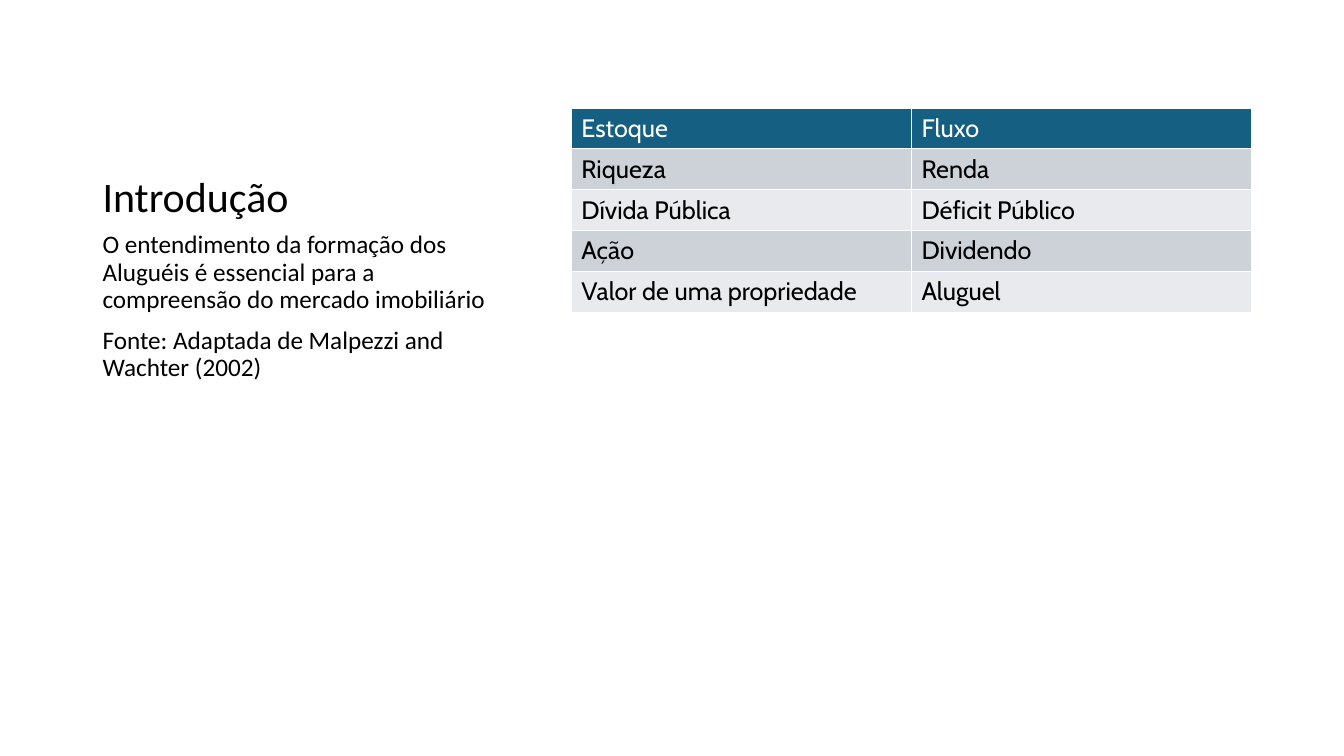
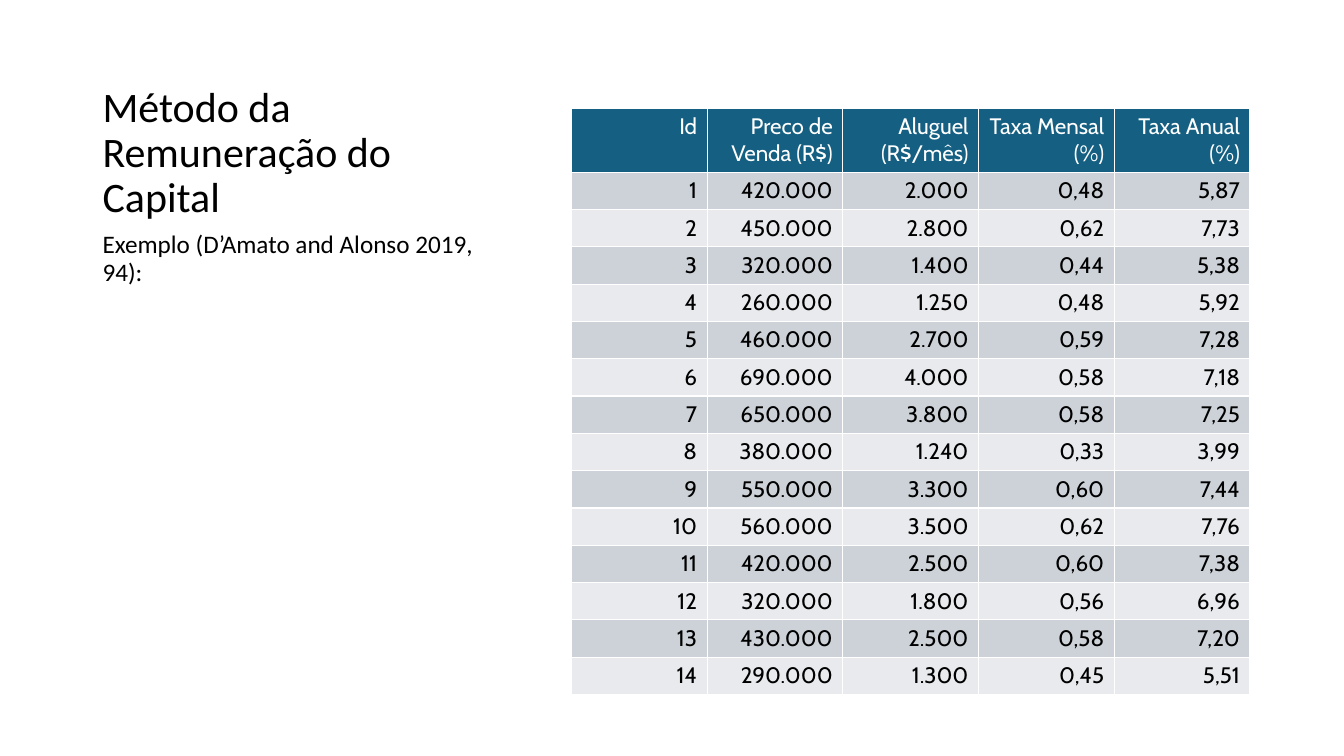
from dataclasses import dataclass

from lxml.etree import Element, SubElement
from pptx import Presentation
from pptx.dml.color import RGBColor as Rgb
from pptx.enum.text import MSO_ANCHOR as Anchor
from pptx.enum.text import MSO_AUTO_SIZE as Fit
from pptx.enum.text import PP_ALIGN as Align
from pptx.oxml.ns import qn
from pptx.util import Cm, Pt


@dataclass(frozen=True)
class Theme:
    white: str = "FFFFFF"
    black: str = "000000"
    head: str = "156082"
    bands: tuple[str, str] = ("CCD2D8", "E8EAED")
    prose: str = "Calibri"
    grid: str = "Cabin"
    title: int = 30
    body: int = 18
    rule: int = 1


@dataclass(frozen=True)
class Box:
    left: float
    top: float
    width: float
    height: float


@dataclass(frozen=True)
class Grid:
    rows: list[list[str]]
    size: int
    align: Align
    col: float
    head: float
    row: float


@dataclass(frozen=True)
class Page:
    title: str
    notes: list[str]
    grid: Grid


THEME = Theme()
TITLE = Box(2.33, 2.74, 10.92, 2.98)
BODY = Box(2.33, 5.72, 10.92, 10.58)
LEFT, TOP = 14.4, 2.72
CAPTION = 7

STOCKS = [
    ["Estoque", "Fluxo"],
    ["Riqueza", "Renda"],
    ["Dívida Pública", "Déficit Público"],
    ["Ação", "Dividendo"],
    ["Valor de uma propriedade", "Aluguel"],
]

HEADS = ["Id", "Preco de Venda (R$)", "Aluguel (R$/mês)", "Taxa Mensal (%)", "Taxa Anual (%)"]
RENTS = [
    ["420.000", "2.000", "0,48", "5,87"],
    ["450.000", "2.800", "0,62", "7,73"],
    ["320.000", "1.400", "0,44", "5,38"],
    ["260.000", "1.250", "0,48", "5,92"],
    ["460.000", "2.700", "0,59", "7,28"],
    ["690.000", "4.000", "0,58", "7,18"],
    ["650.000", "3.800", "0,58", "7,25"],
    ["380.000", "1.240", "0,33", "3,99"],
    ["550.000", "3.300", "0,60", "7,44"],
    ["560.000", "3.500", "0,62", "7,76"],
    ["420.000", "2.500", "0,60", "7,38"],
    ["320.000", "1.800", "0,56", "6,96"],
    ["430.000", "2.500", "0,58", "7,20"],
    ["290.000", "1.300", "0,45", "5,51"],
]

PAGES = [
    Page(
        "Introdução",
        [
            "O entendimento da formação dos Aluguéis é essencial para a "
            "compreensão do mercado imobiliário",
            "Fonte: Adaptada de Malpezzi and Wachter (2002)",
        ],
        Grid(STOCKS, 18, Align.LEFT, 8.57, 1.03, 1.03),
    ),
    Page(
        "Método da Remuneração do Capital",
        ["Exemplo (D’Amato and Alonso 2019, 94):"],
        Grid(
            [HEADS] + [[str(num), *rent] for num, rent in enumerate(RENTS, 1)],
            16, Align.RIGHT, 3.42, 1.62, 0.94,
        ),
    ),
]


def add_run(para, text: str, face: str, size: int, color: str) -> None:
    run = para.add_run()
    run.text = text
    run.font.name = face
    run.font.size = Pt(size)
    run.font.bold = False
    run.font.color.rgb = Rgb.from_string(color)


def fill_holder(holder, box: Box, lines: list[str], size: int, anchor: Anchor) -> None:
    holder.left, holder.top = Cm(box.left), Cm(box.top)
    holder.width, holder.height = Cm(box.width), Cm(box.height)
    frame = holder.text_frame
    frame.word_wrap = True
    frame.auto_size = Fit.NONE
    frame.vertical_anchor = anchor
    for num, line in enumerate(lines):
        para = frame.add_paragraph() if num else frame.paragraphs[0]
        para.alignment = Align.LEFT
        para.line_spacing = 0.9
        para.space_before = Pt(10 if num else 0)
        add_run(para, line, THEME.prose, size, THEME.black)


def add_edges(cell) -> None:
    props = cell._tc.get_or_add_tcPr()
    for spot, side in enumerate(("lnL", "lnR", "lnT", "lnB")):
        edge = Element(qn(f"a:{side}"), w=str(Pt(THEME.rule)))
        paint = SubElement(edge, qn("a:solidFill"))
        SubElement(paint, qn("a:srgbClr"), val=THEME.white)
        props.insert(spot, edge)


def draw_cell(cell, text: str, num: int, grid: Grid) -> None:
    fill = THEME.bands[(num - 1) % 2] if num else THEME.head
    cell.fill.solid()
    cell.fill.fore_color.rgb = Rgb.from_string(fill)
    add_edges(cell)
    para = cell.text_frame.paragraphs[0]
    para.alignment = grid.align
    add_run(para, text, THEME.grid, grid.size, THEME.black if num else THEME.white)


def draw_grid(slide, grid: Grid) -> None:
    rows, cols = len(grid.rows), len(grid.rows[0])
    high = grid.head + grid.row * (rows - 1)
    table = slide.shapes.add_table(
        rows, cols, Cm(LEFT), Cm(TOP), Cm(grid.col * cols), Cm(high)
    ).table
    for col in table.columns:
        col.width = Cm(grid.col)
    for num, texts in enumerate(grid.rows):
        table.rows[num].height = Cm(grid.row if num else grid.head)
        for spot, text in enumerate(texts):
            draw_cell(table.cell(num, spot), text, num, grid)


def draw_page(deck, page: Page) -> None:
    slide = deck.slides.add_slide(deck.slide_layouts[CAPTION])
    title, spare, body = slide.placeholders
    spare.element.getparent().remove(spare.element)
    fill_holder(title, TITLE, [page.title], THEME.title, Anchor.BOTTOM)
    fill_holder(body, BODY, page.notes, THEME.body, Anchor.TOP)
    draw_grid(slide, page.grid)


def main() -> None:
    deck = Presentation()
    deck.slide_width, deck.slide_height = Cm(33.87), Cm(19.05)
    for page in PAGES:
        draw_page(deck, page)
    deck.save("out.pptx")


if __name__ == "__main__":
    main()
